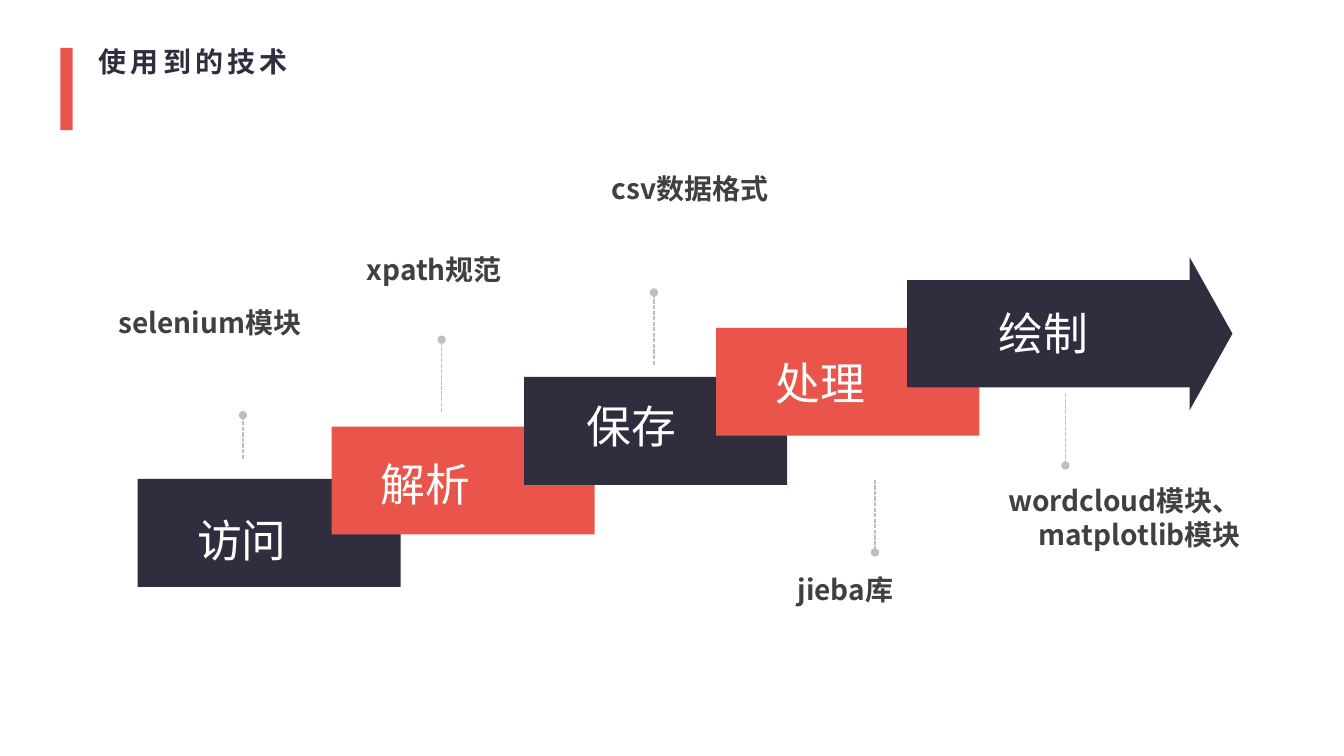
"""Build a slide that shows five work steps as a rising arrow with the tools used."""
from dataclasses import dataclass

from lxml.etree import SubElement
from pptx import Presentation
from pptx.dml.color import RGBColor
from pptx.enum.dml import MSO_LINE
from pptx.enum.shapes import MSO_CONNECTOR, MSO_SHAPE
from pptx.enum.text import MSO_AUTO_SIZE, PP_ALIGN
from pptx.oxml.ns import qn
from pptx.util import Cm, Pt


@dataclass(frozen=True)
class Theme:
    dark: RGBColor = RGBColor(0x2E, 0x2E, 0x3F)
    red: RGBColor = RGBColor(0xE9, 0x55, 0x4A)
    grey: RGBColor = RGBColor(0xBF, 0xBF, 0xBF)
    ink: RGBColor = RGBColor(0x40, 0x40, 0x40)
    white: RGBColor = RGBColor(0xFF, 0xFF, 0xFF)
    sans: str = "Noto Sans CJK SC"
    head: str = "Quicksand"
    small: int = Pt(20)
    large: int = Pt(32)


theme = Theme()
title = {"name": theme.head, "size": theme.small, "bold": True}
label = {"name": theme.sans, "size": theme.small, "bold": True}
step = {"name": theme.sans, "size": theme.large, "bold": False}

deck = Presentation()
deck.slide_width, deck.slide_height = Cm(33.87), Cm(19.05)
slide = deck.slides.add_slide(deck.slide_layouts[6])
shapes = slide.shapes


def add_block(kind, left, top, width, height, fill):
    block = shapes.add_shape(kind, Cm(left), Cm(top), Cm(width), Cm(height))
    block.shadow.inherit = False
    block.fill.solid()
    block.fill.fore_color.rgb = fill
    block.line.fill.background()
    return block


def add_text(lines, left, top, width, height, form, color, align=PP_ALIGN.LEFT, gap=0):
    box = shapes.add_textbox(Cm(left), Cm(top), Cm(width), Cm(height))
    frame = box.text_frame
    frame.word_wrap = True
    frame.auto_size = MSO_AUTO_SIZE.SHAPE_TO_FIT_TEXT
    frame.text = "\n".join(lines)
    for para in frame.paragraphs:
        para.alignment = align
        for run in para.runs:
            for key, value in form.items():
                setattr(run.font, key, value)
            run.font.color.rgb = color
            props = run.font._element
            SubElement(props, qn("a:ea")).set("typeface", theme.sans)
            if gap:
                props.set("spc", str(gap))


add_block(MSO_SHAPE.RECTANGLE, 1.52, 1.21, 0.31, 2.07, theme.red)
add_text(["使用到的技术"], 2.24, 0.99, 5.79, 1.12, title, theme.dark, gap=300)

stems = [
    (6.12, 11.56, 10.46),
    (11.13, 10.39, 8.56),
    (22.05, 12.09, 13.92),
    (26.85, 9.91, 11.73),
    (16.48, 9.19, 7.37),
]
for left, start, end in stems:
    stem = shapes.add_connector(
        MSO_CONNECTOR.STRAIGHT, Cm(left), Cm(start), Cm(left), Cm(end))
    stem.line.color.rgb = theme.grey
    stem.line.width = Pt(1)
    stem.line.dash_style = MSO_LINE.SQUARE_DOT
    SubElement(stem.line._get_or_add_ln(), qn("a:tailEnd")).set("type", "oval")
    SubElement(stem._element.spPr, qn("a:effectLst"))

stairs = [(3.47, 12.07), (8.36, 10.75), (13.21, 9.5), (18.05, 8.26)]
for index, (left, top) in enumerate(stairs):
    fill = theme.red if index % 2 else theme.dark
    add_block(MSO_SHAPE.RECTANGLE, left, top, 6.63, 2.72, fill)
arrow = add_block(MSO_SHAPE.RIGHT_ARROW, 22.86, 6.48, 8.2, 3.86, theme.dark)
arrow.adjustments[0], arrow.adjustments[1] = 0.7, 0.28

tools = [
    (["wordcloud模块、", "matplotlib模块"], 24.64, 12.07, PP_ALIGN.RIGHT),
    (["selenium模块"], 2.74, 7.57, PP_ALIGN.LEFT),
    (["jieba库"], 15.88, 14.3, PP_ALIGN.RIGHT),
    (["xpath规范"], 8.99, 6.25, PP_ALIGN.LEFT),
    (["csv数据格式"], 15.16, 4.19, PP_ALIGN.LEFT),
]
for lines, left, top, align in tools:
    height = 1.12 if len(lines) == 1 else 1.96
    add_text(lines, left, top, 6.88, height, label, theme.ink, align)

names = [
    ("访问", 4.72, 12.8),
    ("解析", 9.35, 11.38),
    ("保存", 14.53, 9.93),
    ("处理", 19.3, 8.84),
    ("绘制", 24.92, 7.57),
]
for name, left, top in names:
    add_text([name], left, top, 3.1, 1.63, step, theme.white)

deck.save("out.pptx")
